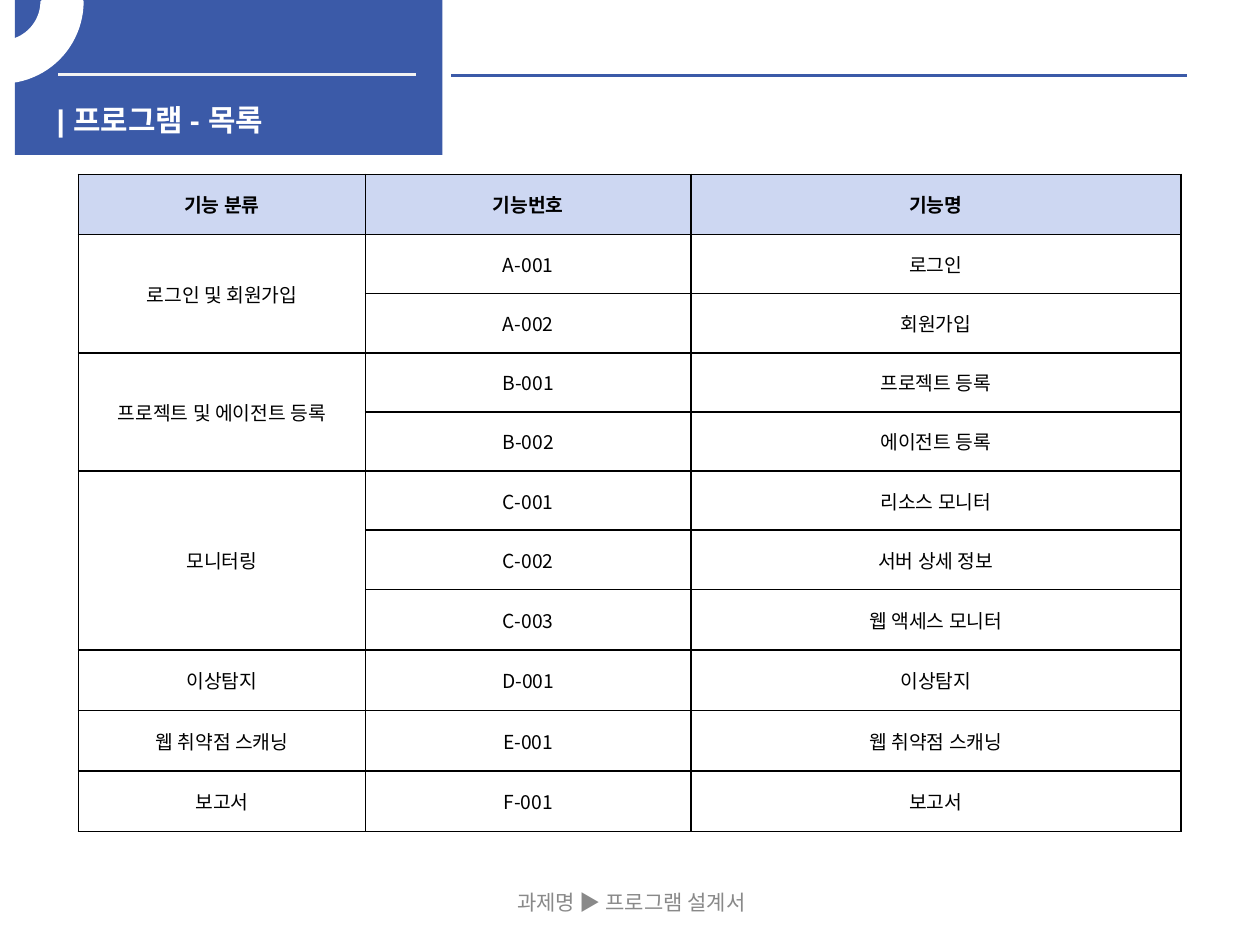
from math import cos, pi, sin

from lxml import etree
from pptx import Presentation
from pptx.dml.color import RGBColor
from pptx.enum.shapes import MSO_CONNECTOR, MSO_SHAPE
from pptx.enum.text import MSO_ANCHOR, PP_ALIGN
from pptx.oxml import parse_xml
from pptx.oxml.ns import nsdecls, qn
from pptx.util import Cm, Pt

COLORS = {"blue": "3B5AA8", "header": "CDD7F2", "white": "FFFFFF",
          "rule": "F2F2F2", "black": "000000", "footer": "898989"}
KOREAN = "Noto Sans CJK KR"


def rgb(name):
    return RGBColor.from_string(COLORS[name])


def write(tf, text, size, color, font=KOREAN, bold=False, align=PP_ALIGN.CENTER):
    p = tf.paragraphs[0]
    p.text, p.alignment = text, align
    f = p.font
    f.name, f.size, f.bold = font, Pt(size), bold
    f.color.rgb = rgb(color)
    ea = etree.SubElement(p._p.pPr.find(qn("a:defRPr")), qn("a:ea"))
    ea.set("typeface", KOREAN)


prs = Presentation()
prs.slide_width, prs.slide_height = Cm(25.37), Cm(19.02)
s = prs.slides.add_slide(prs.slide_layouts[6])

# Footer
tb = s.shapes.add_textbox(Cm(8.69), Cm(17.65), Cm(8.05), Cm(1.02))
tb.text_frame.word_wrap = True
tb.text_frame.vertical_anchor = MSO_ANCHOR.MIDDLE
write(tb.text_frame, "과제명 ▶ 프로그램 설계서", 12, "footer")

# Title block
sp = s.shapes.add_shape(MSO_SHAPE.RECTANGLE, Cm(0.3), 0, Cm(8.61), Cm(3.12))
sp.shadow.inherit = False
sp.fill.solid()
sp.fill.fore_color.rgb = rgb("blue")
sp.line.fill.background()

# Rules inside and beside the title block
for x1, x2, y, color in [(1.17, 8.38, 1.5, "rule"), (9.09, 23.9, 1.52, "blue")]:
    cx = s.shapes.add_connector(MSO_CONNECTOR.STRAIGHT, Cm(x1), Cm(y), Cm(x2), Cm(y))
    cx.line.color.rgb = rgb(color)
    cx.line.width = Pt(2.25)
    etree.SubElement(cx._element.spPr, qn("a:effectLst"))

# Title
tb = s.shapes.add_textbox(Cm(0.89), Cm(1.93), Cm(7.8), Cm(0.81))
tb.text_frame.word_wrap = True
write(tb.text_frame, "| 프로그램 - 목록", 17, "white", "Arial", True, PP_ALIGN.LEFT)

# Quarter ring in the corner
STEPS = 24
angles = [pi / 2 * i / STEPS for i in range(STEPS + 1)]
ring = [(1.62 * cos(a), 1.62 * sin(a)) for a in angles]
ring += [(0.82 * cos(a), 0.82 * sin(a)) for a in reversed(angles)]
points = [(Cm(0.03 + x), Cm(0.03 + y)) for x, y in ring]
fb = s.shapes.build_freeform(*points[0])
fb.add_line_segments(points[1:], close=True)
sp = fb.convert_to_shape()
sp.shadow.inherit = False
sp.fill.solid()
sp.fill.fore_color.rgb = rgb("white")
sp.line.color.rgb = rgb("white")
sp.line.width = Pt(2)

# Function list: category, then its numbered functions
HEADER = ["기능 분류", "기능번호", "기능명"]
GROUPS = [
    ("로그인 및 회원가입", "A", ["로그인", "회원가입"]),
    ("프로젝트 및 에이전트 등록", "B", ["프로젝트 등록", "에이전트 등록"]),
    ("모니터링", "C", ["리소스 모니터", "서버 상세 정보", "웹 액세스 모니터"]),
    ("이상탐지", "D", ["이상탐지"]),
    ("웹 취약점 스캐닝", "E", ["웹 취약점 스캐닝"]),
    ("보고서", "F", ["보고서"]),
]
COLS = [5.78, 6.55, 9.87]
ROWS = [1.21] + [1.19] * 6 + [1.22] * 4

table = s.shapes.add_table(len(ROWS), len(COLS), Cm(1.58), Cm(3.51),
                           Cm(sum(COLS)), Cm(sum(ROWS))).table
for col, width in zip(table.columns, COLS):
    col.width = Cm(width)
for row, height in zip(table.rows, ROWS):
    row.height = Cm(height)

rows = [HEADER]
for category, letter, names in GROUPS:
    first = len(rows)
    for n, name in enumerate(names, 1):
        rows.append([category if n == 1 else "", f"{letter}-{n:03}", name])
    if len(names) > 1:
        table.cell(first, 0).merge(table.cell(len(rows) - 1, 0))

for r, texts in enumerate(rows):
    for c, text in enumerate(texts):
        cell = table.cell(r, c)
        cell.vertical_anchor = MSO_ANCHOR.MIDDLE
        if text:
            write(cell.text_frame, text, 11, "black", bold=r == 0)
        # Borders come before the fill in tcPr
        for side in ("lnL", "lnR", "lnT", "lnB"):
            cell._tc.get_or_add_tcPr().append(parse_xml(
                f'<a:{side} {nsdecls("a")} w="12700"><a:solidFill>'
                f'<a:srgbClr val="{COLORS["black"]}"/></a:solidFill></a:{side}>'))
        cell.fill.solid()
        cell.fill.fore_color.rgb = rgb("header" if r == 0 else "white")

prs.save("out.pptx")
